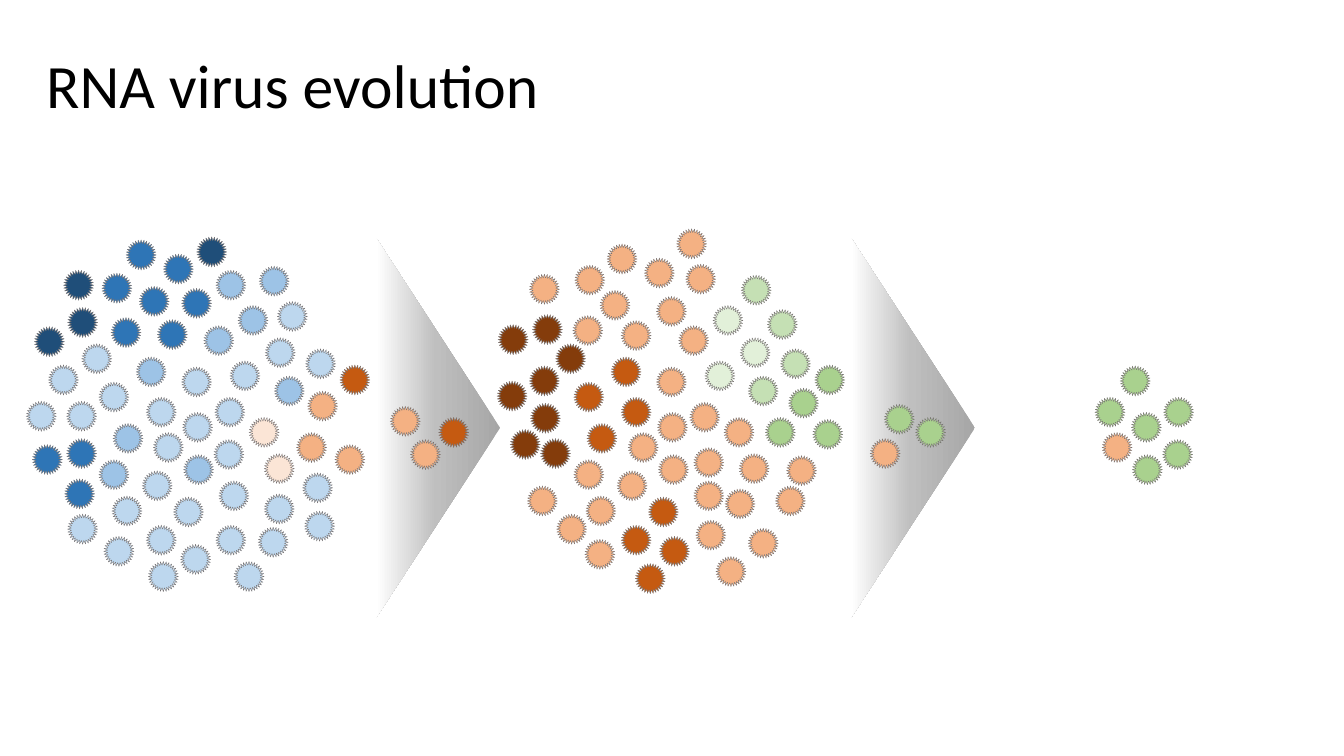
from dataclasses import dataclass

from lxml import etree
from pptx import Presentation
from pptx.dml.color import RGBColor
from pptx.enum.shapes import MSO_SHAPE
from pptx.enum.text import MSO_ANCHOR
from pptx.oxml.ns import qn
from pptx.util import Inches, Pt

STAR = MSO_SHAPE.STAR_32_POINT
TRIANGLE = MSO_SHAPE.ISOSCELES_TRIANGLE
MIDDLE = MSO_ANCHOR.MIDDLE


@dataclass(frozen=True)
class Theme:
    font: str = "Calibri"
    title_size: int = 44
    title_color: str = "000000"
    outline: str = "767171"
    outline_width: float = 0.25
    funnel_stops: tuple = ((0, "A6A6A6"), (52, "BFBFBF"), (100, "FFFFFF"))
    navy: str = "1F4E79"
    blue: str = "2E75B6"
    sky: str = "9DC3E6"
    pale_blue: str = "BDD7EE"
    blush: str = "FBE5D6"
    peach: str = "F4B183"
    rust: str = "C55A11"
    brown: str = "843C0B"
    mist: str = "E2F0D9"
    sage: str = "C5E0B4"
    green: str = "A9D18E"


THEME = Theme()
VIRION_SIZE = 0.3
STAGE_TOP, STAGE_STEP = 2.0, 4.71
FUNNEL_OFFSET, FUNNEL_TOP = 3.73, 2.36
FUNNEL_WIDTH, FUNNEL_HEIGHT = 1.23, 3.77

# Virion positions within each population's box, by variant colour
FOUNDERS = {
    THEME.navy: [(0.67, 1.05), (1.95, 0.35), (0.63, 0.68), (0.34, 1.24)],
    THEME.blue: [
        (1.56, 1.17), (1.1, 1.15), (1.8, 0.86), (1.38, 0.84), (0.66, 2.35), (1.62, 0.52),
        (1.01, 0.71), (0.64, 2.75), (1.25, 0.38), (0.32, 2.41)],
    THEME.sky: [
        (1.82, 2.51), (1.35, 1.54), (1.12, 2.2), (2.72, 1.73), (2.02, 1.23), (0.98, 2.56),
        (2.36, 1.03), (2.14, 0.68), (2.57, 0.64)],
    THEME.pale_blue: [
        (1.81, 2.09), (2.12, 2.36), (2.13, 1.94), (1.8, 1.64), (1.45, 1.94), (1.52, 2.29),
        (2.28, 1.58), (1.41, 2.67), (2.17, 2.77), (0.98, 1.79), (1.72, 2.93), (2.62, 2.9),
        (2.63, 1.35), (0.81, 1.41), (0.66, 1.98), (1.11, 2.92), (1.45, 3.21), (2.14, 3.21),
        (3.0, 2.69), (3.03, 1.46), (2.75, 0.99), (0.48, 1.62), (1.03, 3.32), (1.79, 3.4),
        (2.56, 3.23), (3.02, 3.07), (0.26, 1.98), (0.67, 3.1), (2.32, 3.57), (1.47, 3.57)],
    THEME.blush: [(2.47, 2.14), (2.62, 2.5)],
    THEME.peach: [(2.94, 2.29), (3.05, 1.88), (3.32, 2.41)],
    THEME.rust: [(3.37, 1.62)],
}
SUCCESSORS = {
    THEME.peach: [
        (1.81, 2.09), (2.17, 2.44), (2.13, 1.99), (1.8, 1.64), (1.52, 2.29), (1.82, 2.51),
        (2.47, 2.14), (1.41, 2.67), (2.17, 2.77), (2.62, 2.5), (2.02, 1.23), (1.45, 1.18),
        (0.97, 1.13), (0.98, 2.56), (2.48, 2.85), (1.8, 0.94), (1.24, 0.88), (1.1, 2.92),
        (2.19, 3.16), (3.09, 2.52), (2.09, 0.62), (1.68, 0.56), (0.99, 0.63), (0.52, 2.82),
        (1.09, 3.35), (2.71, 3.24), (2.98, 2.82), (2.0, 0.27), (1.31, 0.42), (0.54, 0.72),
        (0.81, 3.1), (2.39, 3.52)],
    THEME.rust: [
        (1.45, 1.94), (1.35, 1.54), (1.11, 2.2), (0.98, 1.79), (1.72, 2.93), (1.45, 3.21),
        (1.83, 3.32), (1.59, 3.59)],
    THEME.brown: [
        (0.8, 1.41), (0.55, 2.0), (0.65, 2.35), (0.57, 1.12), (0.54, 1.63), (0.23, 1.22),
        (0.22, 1.78), (0.35, 2.26)],
    THEME.mist: [(2.28, 1.58), (2.63, 1.35), (2.36, 1.03)],
    THEME.sage: [(2.71, 1.73), (3.03, 1.46), (2.9, 1.07), (2.64, 0.73)],
    THEME.green: [(2.88, 2.14), (3.11, 1.85), (3.35, 2.16), (3.37, 1.62)],
}
SURVIVORS = {
    THEME.green: [(1.8, 2.09), (2.11, 2.36), (2.12, 1.94), (1.69, 1.63), (1.44, 1.94),
                  (1.81, 2.51)],
    THEME.peach: [(1.51, 2.29)],
}
POPULATIONS = [FOUNDERS, SUCCESSORS, SURVIVORS]

# Virions passing each bottleneck, within the funnel's box
PASSING = [
    {THEME.peach: [(0.14, 1.67), (0.34, 2.0)], THEME.rust: [(0.62, 1.78)]},
    {THEME.peach: [(0.19, 1.99)], THEME.green: [(0.33, 1.65), (0.64, 1.78)]},
]


def add_title(slide, left, top, width, height):
    title = slide.shapes.add_textbox(Inches(left), Inches(top), Inches(width), Inches(height))
    frame = title.text_frame
    frame.word_wrap = True
    frame.vertical_anchor = MIDDLE
    frame.text = "RNA virus evolution"
    heading = frame.paragraphs[0]
    heading.line_spacing = 0.9
    heading.font.name = THEME.font
    heading.font.size = Pt(THEME.title_size)
    heading.font.color.rgb = RGBColor.from_string(THEME.title_color)


def add_population(slide, left, top, variants):
    for color, spots in variants.items():
        for x, y in spots:
            virion = slide.shapes.add_shape(
                STAR, Inches(left + x), Inches(top + y), Inches(VIRION_SIZE), Inches(VIRION_SIZE))
            virion.shadow.inherit = False
            virion.fill.solid()
            virion.fill.fore_color.rgb = RGBColor.from_string(color)
            virion.line.color.rgb = RGBColor.from_string(THEME.outline)
            virion.line.width = Pt(THEME.outline_width)


def add_bottleneck(slide, left, top, width, height, passing):
    # The triangle is turned to point right, so its own sides are swapped
    funnel = slide.shapes.add_shape(
        TRIANGLE, Inches(left + (width - height) / 2), Inches(top + (height - width) / 2),
        Inches(height), Inches(width))
    funnel.rotation = 90
    funnel.shadow.inherit = False
    funnel.line.fill.background()
    funnel.fill.gradient()
    funnel.fill.gradient_angle = 270  # counter-clockwise: runs from tip to base

    # Three gradient stops
    stops = next(funnel._element.spPr.iter(qn("a:gsLst")))
    for stop in list(stops):
        stops.remove(stop)
    for percent, color in THEME.funnel_stops:
        stop = etree.SubElement(stops, qn("a:gs"), pos=str(percent * 1000))
        etree.SubElement(stop, qn("a:srgbClr"), val=color)

    add_population(slide, left, top, passing)


def main():
    prs = Presentation()
    prs.slide_width, prs.slide_height = Inches(13.33), Inches(7.5)
    slide = prs.slides.add_slide(prs.slide_layouts[6])

    add_title(slide, 0.36, 0.4, 12.62, 0.96)
    for stage, passing in enumerate(PASSING):
        add_bottleneck(slide, FUNNEL_OFFSET + stage * STAGE_STEP, FUNNEL_TOP,
                       FUNNEL_WIDTH, FUNNEL_HEIGHT, passing)
    for stage, variants in enumerate(POPULATIONS):
        add_population(slide, stage * STAGE_STEP, STAGE_TOP, variants)

    prs.save("out.pptx")


if __name__ == "__main__":
    main()
